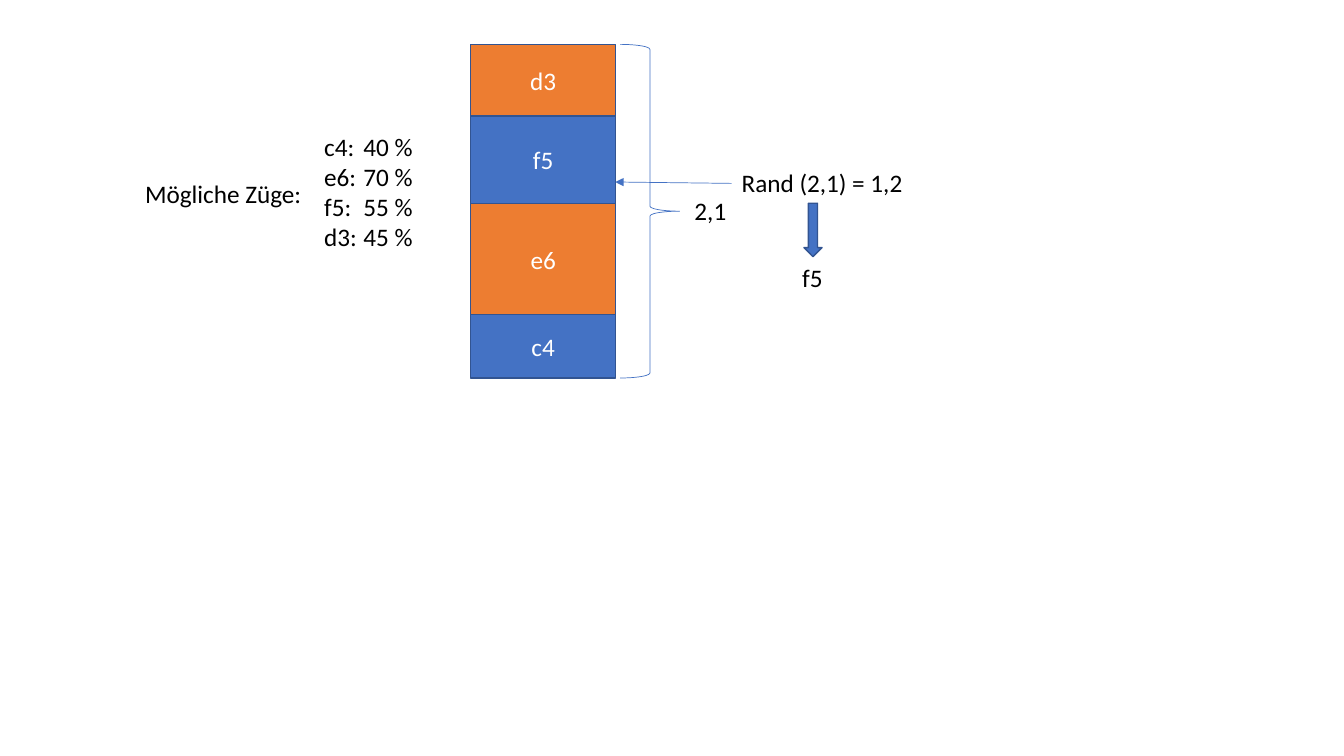
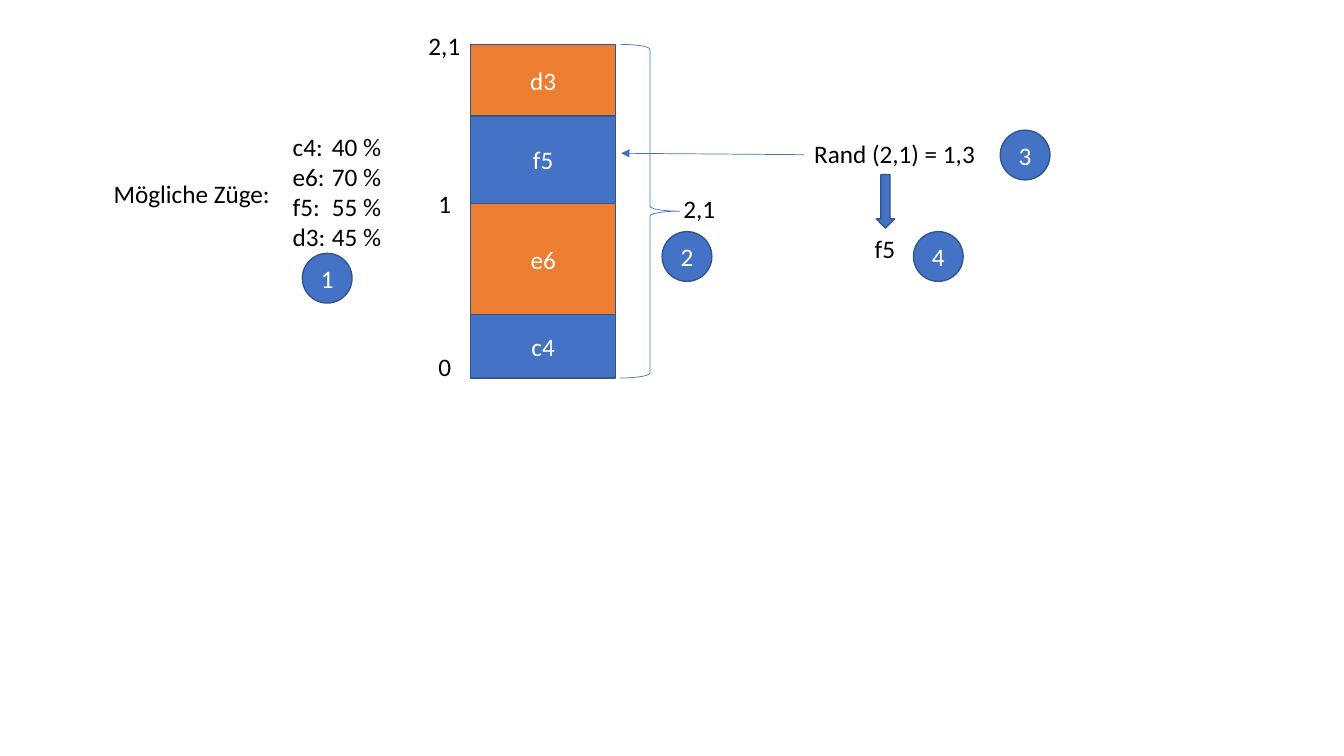
from pptx import Presentation
from pptx.dml.color import RGBColor
from pptx.enum.shapes import MSO_CONNECTOR as Connector, MSO_SHAPE as Preset
from pptx.enum.text import MSO_ANCHOR as Anchor, PP_ALIGN as Align
from pptx.oxml.ns import qn
from pptx.util import Pt
from lxml.etree import SubElement

BLUE = RGBColor(0x44, 0x72, 0xC4)
ORANGE = RGBColor(0xED, 0x7D, 0x31)
OUTLINE = RGBColor(0x32, 0x54, 0x91)
BLACK = RGBColor(0, 0, 0)
WHITE = RGBColor(255, 255, 255)

LABEL_HEIGHT = 29
BAR_LEFT, BAR_TOP, BAR_WIDTH = 336.2, 31.7, 103.7
BADGE_SIZE = 35.5
MOVES = ["c4:\t40 %", "e6:\t70 %", "f5:\t55 %", "d3:\t45 %"]
SEGMENTS = [("d3", 51.1, ORANGE), ("f5", 62.6, BLUE), ("e6", 79.2, ORANGE), ("c4", 45.4, BLUE)]
BAR_HEIGHT = sum(height for name, height, colour in SEGMENTS)

VARIANTS = [
    dict(moves_left=96.5, total=(489, 136), rand="Rand (2,1) = 1,2", rand_at=(522.7, 116),
         arrow_tip=439.5, badges=[], scale=[]),
    dict(moves_left=74, total=(481, 134.5), rand="Rand (2,1) = 1,3", rand_at=(574.5, 95.5),
         arrow_tip=443.7,
         badges=[("1", 216, 181), ("2", 473, 165.5), ("3", 714.5, 93), ("4", 652.5, 165.5)],
         scale=[("0", 306, 247.5), ("2,1", 299, 18), ("1", 306, 131)]),
]


def write(slide, text, left, top, width, height=LABEL_HEIGHT, preset=None, fill=None,
          tab=None):
    if preset is None:
        shape = slide.shapes.add_textbox(Pt(left), Pt(top), Pt(width), Pt(height))
    else:
        shape = slide.shapes.add_shape(preset, Pt(left), Pt(top), Pt(width), Pt(height))
        shape.shadow.inherit = False
        shape.fill.solid()
        shape.fill.fore_color.rgb = fill
        shape.line.color.rgb = OUTLINE
        shape.line.width = Pt(1)
    frame = shape.text_frame
    frame.word_wrap = True
    frame.vertical_anchor = Anchor.MIDDLE if preset else Anchor.TOP
    frame.text = text
    for paragraph in frame.paragraphs:
        paragraph.alignment = Align.CENTER if preset else Align.LEFT
        paragraph.font.name = "Calibri"
        paragraph.font.size = Pt(18)
        paragraph.font.color.rgb = WHITE if preset else BLACK
        if tab:
            tab_list = paragraph._p.get_or_add_pPr().makeelement(qn("a:tabLst"))
            SubElement(tab_list, qn("a:tab"), pos=str(Pt(tab)), algn="l")
            paragraph._p.pPr.insert(0, tab_list)


presentation = Presentation()
presentation.slide_width = Pt(960)
presentation.slide_height = Pt(540)

for variant in VARIANTS:
    slide = presentation.slides.add_slide(presentation.slide_layouts[6])
    moves_left = variant["moves_left"]
    write(slide, "Mögliche Züge:", moves_left, 123.5, 132)
    write(slide, "\n".join(MOVES), moves_left + 128, 90, 96, 94.5, tab=28)

    segment_top = BAR_TOP
    for name, height, colour in SEGMENTS:
        write(slide, name, BAR_LEFT, segment_top, BAR_WIDTH, height,
              preset=Preset.RECTANGLE, fill=colour)
        segment_top += height

    brace = slide.shapes.add_shape(Preset.RIGHT_BRACE, Pt(443), Pt(BAR_TOP), Pt(42.5), Pt(BAR_HEIGHT))
    brace.shadow.inherit = False
    brace.fill.background()
    brace.line.color.rgb = BLUE
    brace.line.width = Pt(0.5)
    write(slide, "2,1", *variant["total"], 47)

    rand_left, rand_top = variant["rand_at"]
    write(slide, variant["rand"], rand_left, rand_top, 138)
    pointer = slide.shapes.add_connector(Connector.STRAIGHT, Pt(rand_left), Pt(rand_top + 15),
                                         Pt(variant["arrow_tip"]), Pt(rand_top + 14))
    pointer.line.color.rgb = BLUE
    pointer.line.width = Pt(0.5)
    SubElement(pointer.line._get_or_add_ln(), qn("a:tailEnd"), type="triangle")
    SubElement(pointer._element.spPr, qn("a:effectLst"))

    write(slide, "", rand_left + 51.5, rand_top + 29.2, 13, 38.2,
          preset=Preset.DOWN_ARROW, fill=BLUE)
    write(slide, "f5", rand_left + 43.2, rand_top + 67.5, 36)

    for number, left, top in variant["badges"]:
        write(slide, number, left, top, BADGE_SIZE, BADGE_SIZE, preset=Preset.OVAL, fill=BLUE)
    for value, left, top in variant["scale"]:
        write(slide, value, left, top, 47)

presentation.save("out.pptx")
